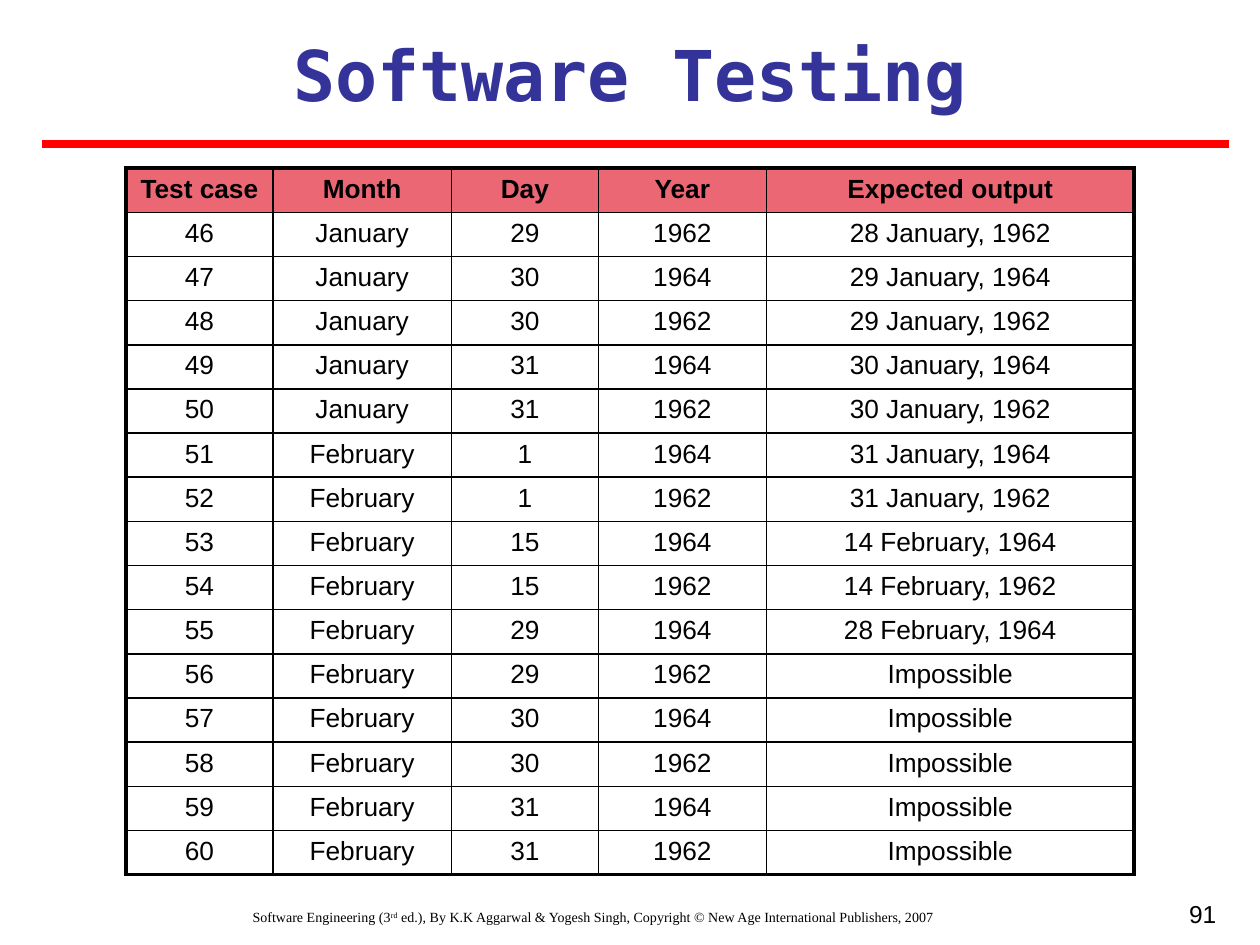
from lxml import etree
from pptx import Presentation
from pptx.dml.color import RGBColor
from pptx.enum.shapes import MSO_CONNECTOR
from pptx.enum.text import MSO_ANCHOR, PP_ALIGN
from pptx.oxml.ns import qn
from pptx.util import Cm, Pt

STRAIGHT = MSO_CONNECTOR.STRAIGHT
TOP, MIDDLE = MSO_ANCHOR.TOP, MSO_ANCHOR.MIDDLE
CENTER, RIGHT = PP_ALIGN.CENTER, PP_ALIGN.RIGHT

TITLE = "Software Testing"
PAGE_NUMBER = "91"
FOOTER = [
    ("Software Engineering (3", False),
    ("rd", True),
    (" ed.), By K.K Aggarwal & Yogesh Singh, Copyright © New Age International Publishers, 2007", False),
]
HEADERS = ("Test case", "Month", "Day", "Year", "Expected output")
FIRST_CASE = 46
CASES = [
    ("January", 29, 1962, "28 January, 1962"),
    ("January", 30, 1964, "29 January, 1964"),
    ("January", 30, 1962, "29 January, 1962"),
    ("January", 31, 1964, "30 January, 1964"),
    ("January", 31, 1962, "30 January, 1962"),
    ("February", 1, 1964, "31 January, 1964"),
    ("February", 1, 1962, "31 January, 1962"),
    ("February", 15, 1964, "14 February, 1964"),
    ("February", 15, 1962, "14 February, 1962"),
    ("February", 29, 1964, "28 February, 1964"),
    ("February", 29, 1962, "Impossible"),
    ("February", 30, 1964, "Impossible"),
    ("February", 30, 1962, "Impossible"),
    ("February", 31, 1964, "Impossible"),
    ("February", 31, 1962, "Impossible"),
]
COLUMN_WIDTHS = (2.96, 3.6, 2.96, 3.39, 7.41)
ROW_HEIGHT = 0.89

THEME = {
    "title": {"font": "DejaVu Sans Mono", "size": 40, "color": "333399", "bold": True},
    "header": {"font": "Arial", "size": 15, "color": "000000", "bold": True},
    "body": {"font": "Arial", "size": 15, "color": "000000"},
    "footer": {"font": "Times New Roman", "size": 8, "color": "000000"},
    "number": {"font": "Arial", "size": 14, "color": "000000"},
    "header_fill": "EB6774",
    "rule": ("FF0000", 4.5),
    "border": "000000",
    "outer_border": 2.25,
    "inner_border": 1,
}


def write(frame, text, font, size, color, bold=False, align=CENTER, anchor=TOP):
    frame.word_wrap = True
    frame.vertical_anchor = anchor
    para = frame.paragraphs[0]
    para.alignment = align
    para.space_before = Pt(0)
    parts = [(text, False)] if isinstance(text, str) else text
    for words, raised in parts:
        span = para.add_run()
        span.text = words
        span.font.name = font
        span.font.size = Pt(size)
        span.font.bold = bold
        span.font.color.rgb = RGBColor.from_string(color)
        if raised:
            span.font._element.set("baseline", "30000")


def add_text(page, text, left, top, width, height, **style):
    box = page.shapes.add_textbox(Cm(left), Cm(top), Cm(width), Cm(height))
    write(box.text_frame, text, **style)


def set_borders(cell, outer):
    properties = cell._tc.get_or_add_tcPr()
    for side in "LRTB":
        width = THEME["outer_border"] if side in outer else THEME["inner_border"]
        line = etree.SubElement(properties, qn(f"a:ln{side}"), w=str(Pt(width)))
        fill = etree.SubElement(line, qn("a:solidFill"))
        etree.SubElement(fill, qn("a:srgbClr"), val=THEME["border"])


def add_title(page):
    title = page.shapes.title
    title.left, title.top, title.width, title.height = Cm(0.85), Cm(0.5), Cm(23.7), Cm(1.96)
    write(title.text_frame, TITLE, anchor=MIDDLE, **THEME["title"])


def add_rule(page):
    color, width = THEME["rule"]
    rule = page.shapes.add_connector(STRAIGHT, Cm(0.85), Cm(2.9), Cm(24.77), Cm(2.9))
    rule.line.color.rgb = RGBColor.from_string(color)
    rule.line.width = Pt(width)
    etree.SubElement(rule._element.spPr, qn("a:effectLst"))


def add_case_table(page):
    rows = [HEADERS] + [(number, *case) for number, case in enumerate(CASES, FIRST_CASE)]
    last_row, last_column = len(rows) - 1, len(HEADERS) - 1
    table = page.shapes.add_table(
        len(rows), len(HEADERS), Cm(2.54), Cm(3.39),
        Cm(sum(COLUMN_WIDTHS)), Cm(ROW_HEIGHT * len(rows)),
    ).table
    table.horz_banding = False
    for column, width in zip(table.columns, COLUMN_WIDTHS):
        column.width = Cm(width)
    for r, values in enumerate(rows):
        table.rows[r].height = Cm(ROW_HEIGHT)
        for c, value in enumerate(values):
            cell = table.cell(r, c)
            edges = {"L": c == 0, "R": c == last_column, "T": r == 0, "B": r == last_row}
            set_borders(cell, [side for side, outside in edges.items() if outside])
            if r == 0:
                cell.fill.solid()
                cell.fill.fore_color.rgb = RGBColor.from_string(THEME["header_fill"])
            else:
                cell.fill.background()
            write(cell.text_frame, str(value), **THEME["body" if r else "header"])


def main():
    deck = Presentation()
    deck.slide_width, deck.slide_height = Cm(25.4), Cm(19.05)
    page = deck.slides.add_slide(deck.slide_layouts[5])
    add_text(page, FOOTER, 0.64, 18.2, 22.65, 0.85, **THEME["footer"])
    add_text(page, PAGE_NUMBER, 18.84, 17.99, 5.93, 1.5, align=RIGHT, **THEME["number"])
    add_title(page)
    add_rule(page)
    add_case_table(page)
    deck.save("out.pptx")


if __name__ == "__main__":
    main()
